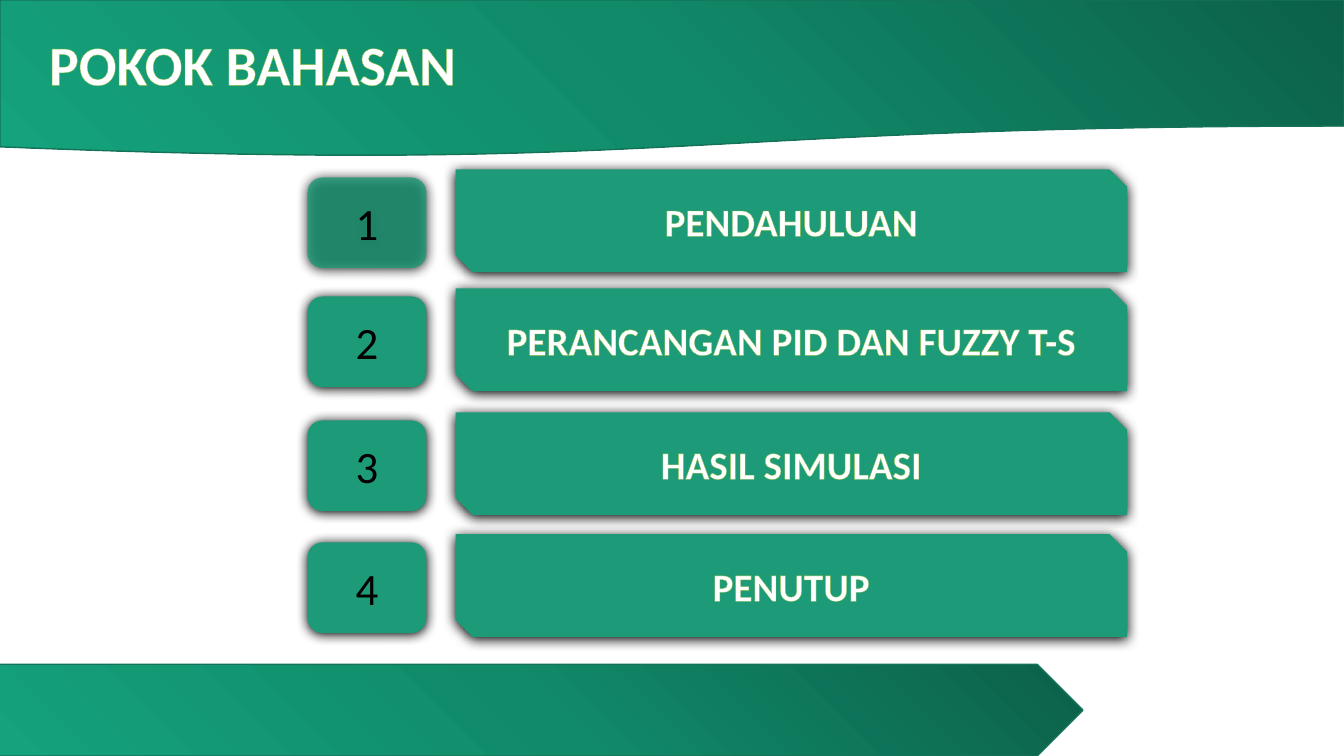
"""Build the agenda slide: a wavy title banner, four numbered topics and a footer arrow."""
from copy import deepcopy

from lxml.etree import SubElement
from pptx import Presentation
from pptx.dml.color import RGBColor
from pptx.enum.shapes import MSO_SHAPE as SHAPE
from pptx.enum.text import MSO_ANCHOR as ANCHOR, PP_ALIGN as ALIGN
from pptx.oxml import parse_xml
from pptx.oxml.ns import nsdecls, qn
from pptx.util import Pt

GREEN, EDGE, OUTLINE = "1D9A78", "157259", "8BC145"
GRADIENT = ["0C614A", "118A69", "14A37C"]
TOPICS = [
    (121, "PENDAHULUAN"),
    (206, "PERANCANGAN PID DAN FUZZY T-S"),
    (294.5, "HASIL SIMULASI"),
    (381.6, "PENUTUP"),
]


def rgb(color):
    """Turn a hex string into a colour."""
    return RGBColor.from_string(color)


def add_shape(slide, kind, x, y, w, h):
    """Add a preset shape, measured in points, without a theme shadow."""
    sp = slide.shapes.add_shape(kind, Pt(x), Pt(y), Pt(w), Pt(h))
    sp.shadow.inherit = False
    return sp


def add_band(slide, kind, x, y, w, h):
    """Add a band with the diagonal green gradient."""
    sp = add_shape(slide, kind, x, y, w, h)
    sp.fill.gradient()
    sp.fill.gradient_angle = 225
    stops = sp._element.spPr.find(qn("a:gradFill")).find(qn("a:gsLst"))
    stops.insert(1, deepcopy(stops[0]))
    for i, (stop, color) in enumerate(zip(sp.fill.gradient_stops, GRADIENT)):
        stop.color.rgb = rgb(color)
        stop.position = i / 2
    sp.line.color.rgb = rgb(EDGE)
    sp.line.width = Pt(1)


def set_text(sp, text, size, color, align=ALIGN.CENTER, bold=False):
    """Write one vertically centred paragraph, outlined when bold."""
    tf = sp.text_frame
    tf.word_wrap = True
    tf.vertical_anchor = ANCHOR.MIDDLE
    p = tf.paragraphs[0]
    p.text = text
    p.alignment = align
    font = p.font
    font.name, font.size, font.bold = "Calibri", Pt(size), bold
    font.color.rgb = rgb(color)
    if bold:
        ln = parse_xml(
            f'<a:ln {nsdecls("a")} w="{Pt(0.8)}"><a:solidFill>'
            f'<a:srgbClr val="{OUTLINE}"/></a:solidFill></a:ln>')
        p.runs[0].font._element.insert(0, ln)


def add_tile(slide, kind, x, y, w, h, alpha=100):
    """Add a flat green tile with a soft shadow below it."""
    sp = add_shape(slide, kind, x, y, w, h)
    sp.fill.solid()
    sp.fill.fore_color.rgb = rgb(GREEN)
    sp.line.fill.background()
    spPr = sp._element.spPr
    if alpha < 100:
        color = spPr.find(qn("a:solidFill"))[0]
        SubElement(color, qn("a:alpha"), val=str(alpha * 1000))
    shadow = SubElement(
        spPr.find(qn("a:effectLst")), qn("a:outerShdw"), blurRad=str(Pt(8.5)),
        dist=str(Pt(1)), dir="5400000", algn="ctr", rotWithShape="0")
    SubElement(shadow, qn("a:srgbClr"), val="000000")
    return sp


def add_topic(slide, number, y, text):
    """Add a topic bar and its number box."""
    bar = add_tile(slide, SHAPE.SNIP_2_DIAG_RECTANGLE, 325.4, y, 479.5, 73.4)
    set_text(bar, text, 28, "FFFFFF", bold=True)
    box = add_tile(slide, SHAPE.ROUNDED_RECTANGLE, 219.6, y + 5.8, 85, 64.8,
                   alpha=80 if number == 1 else 100)
    set_text(box, str(number), 32, "000000")


def set_title(slide, text):
    """Place the title placeholder over the banner."""
    title = slide.shapes.title
    title.left, title.top, title.width, title.height = Pt(0), Pt(0), Pt(960), Pt(90)
    title.text_frame.margin_left = Pt(35)
    set_text(title, text, 40, "FFFFFF", ALIGN.LEFT, bold=True)
    slide.shapes._spTree.append(title._element)


def main():
    """Build and save the slide."""
    prs = Presentation()
    prs.slide_width, prs.slide_height = Pt(960), Pt(540)
    slide = prs.slides.add_slide(prs.slide_layouts[5])
    add_band(slide, SHAPE.FLOWCHART_DOCUMENT, 0, 0, 960, 112.3)
    add_band(slide, SHAPE.PENTAGON, -1.4, 474.5, 775, 65.5)
    for number, (y, text) in enumerate(TOPICS, 1):
        add_topic(slide, number, y, text)
    set_title(slide, "POKOK BAHASAN")
    prs.save("out.pptx")


if __name__ == "__main__":
    main()
